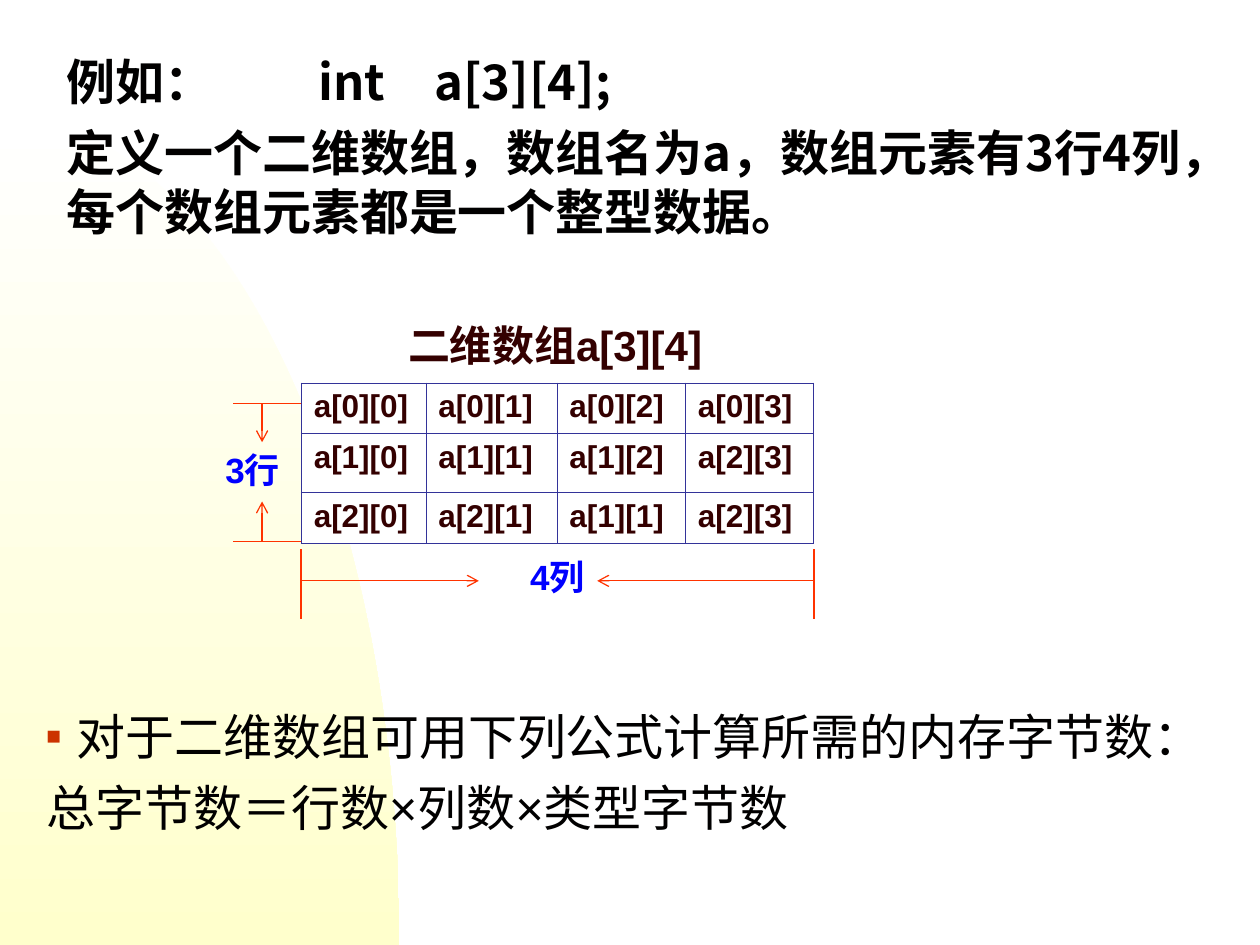
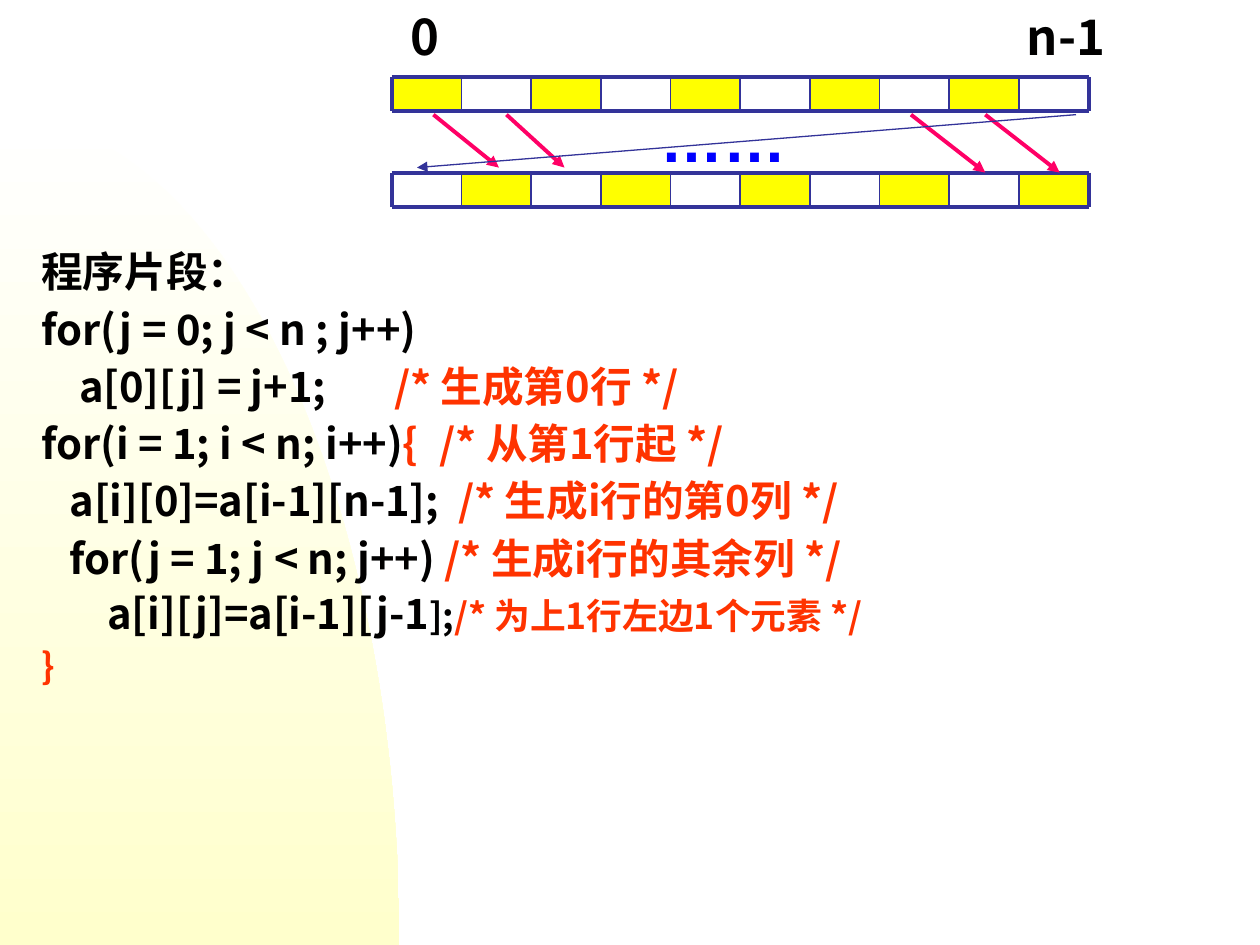
import pptx
import pptx.dml.color
import pptx.enum.shapes
import pptx.oxml
import pptx.oxml.ns
import pptx.util

Inches = pptx.util.Inches
Pt = pptx.util.Pt
RGBColor = pptx.dml.color.RGBColor

WHITE = RGBColor(0xFF, 0xFF, 0xFF)
CREAM = RGBColor(0xFF, 0xFF, 0xCC)
INK = RGBColor(0x01, 0x00, 0x00)
MAROON = RGBColor(0x34, 0x00, 0x00)
NAVY = RGBColor(0x33, 0x33, 0x99)
BLUE = RGBColor(0x00, 0x00, 0xFF)
ORANGE = RGBColor(0xFF, 0x33, 0x00)
BRICK = RGBColor(0xCC, 0x33, 0x00)
PINK = RGBColor(0xFF, 0x00, 0x66)
YELLOW = RGBColor(0xFF, 0xFF, 0x00)

CJK = "Noto Sans CJK SC"
LATIN = "Arial"


def add_xml(parent, tag, **attributes):
    """Append one DrawingML element."""
    child = pptx.oxml.parse_xml(f"<a:{tag} {pptx.oxml.ns.nsdecls('a')}/>")
    for name, value in attributes.items():
        child.set(name, str(value))
    parent.append(child)
    return child


class Lecture:
    def __init__(self):
        self.deck = pptx.Presentation()
        self.deck.slide_width = Inches(10)
        self.deck.slide_height = Inches(7.5)
        self.page = None

    def new_page(self):
        self.page = self.deck.slides.add_slide(self.deck.slide_layouts[6])
        self.curved_band()

    def curved_band(self):
        """Fading band with a Bezier edge, shared by every page."""
        right, top, bottom = 3.17, 0.92, 7.5
        controls = [(0, top), (1.75, top), (right, 3.87), (right, bottom)]
        steps = 60
        edge = []
        for step in range(steps + 1):
            t = step / steps
            weights = ((1 - t) ** 3, 3 * t * (1 - t) ** 2, 3 * t * t * (1 - t), t ** 3)
            edge.append(tuple(
                Inches(sum(w * point[axis] for w, point in zip(weights, controls)))
                for axis in (0, 1)))
        outline = self.page.shapes.build_freeform(*edge[0])
        outline.add_line_segments(edge[1:] + [(0, Inches(bottom))], close=True)
        band = outline.convert_to_shape()
        band.shadow.inherit = False
        band.line.fill.background()
        band.fill.gradient()
        band.fill.gradient_angle = 270
        for stop, color in zip(band.fill.gradient_stops, (WHITE, CREAM)):
            stop.color.rgb = color

    def style(self, span, size, color, font, bold):
        span.font.size = Pt(size)
        span.font.color.rgb = color
        span.font.name = font
        span.font.bold = bold
        add_xml(span.font._element, "ea", typeface=CJK)

    def text(self, place, paragraphs, size, color=INK, font=CJK, bold=True,
             gap=7, spacing=None):
        """Each paragraph is a string or a list of (text, colour, size)."""
        box = self.page.shapes.add_textbox(*map(Inches, place))
        frame = box.text_frame
        frame.word_wrap = True
        for index, parts in enumerate(paragraphs):
            para = frame.add_paragraph() if index else frame.paragraphs[0]
            if index:
                para.space_before = Pt(gap)
            if spacing:
                para.line_spacing = spacing
            if isinstance(parts, str):
                parts = [(parts, color, size)]
            for words, span_color, span_size in parts:
                span = para.add_run()
                span.text = words
                self.style(span, span_size, span_color, font, bold)
        return frame.paragraphs

    def tab_stop(self, para, position):
        stops = add_xml(para._p.get_or_add_pPr(), "tabLst")
        add_xml(stops, "tab", pos=Inches(position), algn="l")

    def square_bullet(self, para, indent):
        props = para._p.get_or_add_pPr()
        props.set("marL", str(Inches(indent)))
        props.set("indent", str(-Inches(indent)))
        add_xml(add_xml(props, "buClr"), "srgbClr", val=BRICK)
        add_xml(props, "buSzPct", val=50000)
        add_xml(props, "buFont", typeface=LATIN)
        add_xml(props, "buChar", char="■")

    def line(self, start, end, color, width, head=None):
        connector = self.page.shapes.add_connector(
            pptx.enum.shapes.MSO_CONNECTOR.STRAIGHT,
            *map(Inches, (*start, *end)))
        connector.line.color.rgb = color
        connector.line.width = Pt(width)
        if head:
            add_xml(connector.line._get_or_add_ln(), "tailEnd", type=head)
        add_xml(connector._element.spPr, "effectLst")

    def rectangle(self, place, color):
        shape = self.page.shapes.add_shape(
            pptx.enum.shapes.MSO_SHAPE.RECTANGLE, *map(Inches, place))
        shape.shadow.inherit = False
        shape.fill.solid()
        shape.fill.fore_color.rgb = color
        shape.line.fill.background()

    def table(self, left, top, widths, heights, rows):
        table = self.page.shapes.add_table(
            len(rows), len(widths), Inches(left), Inches(top),
            Inches(sum(widths)), Inches(sum(heights))).table
        for column, width in zip(table.columns, widths):
            column.width = Inches(width)
        for row, height, values in zip(table.rows, heights, rows):
            row.height = Inches(height)
            for cell, value in zip(row.cells, values):
                cell.text = value
                self.style(cell.text_frame.paragraphs[0].runs[0],
                           18, MAROON, LATIN, True)
                self.cell_frame(cell)

    def cell_frame(self, cell):
        props = cell._tc.get_or_add_tcPr()
        for side in ("lnL", "lnR", "lnT", "lnB"):
            border = add_xml(props, side, w=Pt(0.45))
            add_xml(add_xml(border, "solidFill"), "srgbClr", val=NAVY)
        cell.fill.solid()
        cell.fill.fore_color.rgb = WHITE

    def array_strip(self, left, top, width, height, count, first_yellow):
        """Row of array cells, every second one yellow."""
        step = width / count
        right, bottom = left + width, top + height
        for index in range(count):
            color = YELLOW if index % 2 == first_yellow else WHITE
            self.rectangle((left + index * step, top, step, height), color)
        for y in (top, bottom):
            self.line((left, y), (right, y), NAVY, 2.25)
        for index in range(count + 1):
            x = left + index * step
            self.line((x, top), (x, bottom), NAVY,
                      2.25 if index in (0, count) else 1)


def array_page(lecture):
    lecture.new_page()

    # Definition
    definition = lecture.text(
        (0.43, 0.36, 9.29, 1.6),
        ["例如：\tint\u3000a[3][4];",
         "定义一个二维数组，数组名为a，数组元素有3行4列，每个数组元素都是一个整型数据。"], 28)
    lecture.tab_stop(definition[0], 2)

    # Memory formula
    formula = lecture.text(
        (0.27, 5.56, 9.49, 1.13),
        ["对于二维数组可用下列公式计算所需的内存字节数：",
         "总字节数＝行数×列数×类型字节数"], 28, font=LATIN, bold=False)
    lecture.square_bullet(formula[0], 0.24)

    # Array elements
    lecture.table(2.39, 3.04, (0.99, 1.04, 1.02, 1.02), (0.4, 0.47, 0.4), [
        ("a[0][0]", "a[0][1]", "a[0][2]", "a[0][3]"),
        ("a[1][0]", "a[1][1]", "a[1][2]", "a[2][3]"),
        ("a[2][0]", "a[2][1]", "a[1][1]", "a[2][3]")])
    lecture.text((3.14, 2.49, 3, 0.5), ["二维数组a[3][4]"], 24, MAROON, LATIN)

    # Row and column dimensions
    left, right, top, bottom = 2.39, 6.46, 3.2, 4.3
    for y, tip in ((top, 3.51), (bottom, 3.98)):
        lecture.line((1.85, y), (left, y), ORANGE, 0.75)
        lecture.line((2.08, y), (2.08, tip), ORANGE, 0.75, "arrow")
    for x, tip in ((left, 3.8), (right, 4.74)):
        lecture.line((x, 4.36), (x, 4.91), ORANGE, 0.75)
        lecture.line((x, 4.61), (tip, 4.61), ORANGE, 0.75, "arrow")
    for label, x, y in (("3行", 1.69, 3.51), ("4列", 4.11, 4.36)):
        lecture.text((x, y, 0.8, 0.44), [label], 20, BLUE, LATIN)


def shift_page(lecture):
    lecture.new_page()

    # Program; comments stand at a tab stop, given in inches
    main, small = 23.8, 20.4
    program = [
        ("程序片段：", "", None),
        ("for(j = 0; j < n ; j++)", "", None),
        ("    a[0][j] = j+1;", "\t/* 生成第0行 */", 2.8),
        ("for(i = 1; i < n; i++)", "{\t/* 从第1行起 */", 3.16),
        ("   a[i][0]=a[i-1][n-1];", "\t/* 生成i行的第0列 */", 3.31),
        ("   for(j = 1; j < n; j++) ", "/* 生成i行的其余列 */", None)]
    lines = [[(code, INK, main)] + ([(note, ORANGE, main)] if note else [])
             for code, note, _ in program]
    lines.append([("       a[i][j]=a[i-1][j-1", INK, main), ("];", INK, small),
                  ("/* 为上1行左边1个元素 */", ORANGE, small)])
    lines.append([("}", ORANGE, small)])
    paragraphs = lecture.text((0.23, 1.95, 9.53, 4.8), lines, main, spacing=0.9)
    for para, (_, _, stop) in zip(paragraphs, program):
        if stop:
            lecture.tab_stop(para, stop)
    for para in paragraphs[-2:]:
        para.space_before = Pt(6)

    # Two array rows
    for top, first_yellow in ((0.61, 0), (1.37, 1)):
        lecture.array_strip(3.11, top, 5.53, 0.27, 10, first_yellow)
    lecture.text((3.16, 0, 0.59, 0.57), ["0"], 28)
    lecture.text((8.05, 0, 0.91, 0.57), ["n-1"], 28)

    # Element moves
    for start, end, tip in ((3.44, 3.96, 1.33), (4.02, 4.48, 1.33),
                            (7.23, 7.82, 1.37), (7.82, 8.41, 1.37)):
        lecture.line((start, 0.91), (end, tip), PINK, 2.25, "triangle")
    lecture.text((5.14, 0.74, 1.57, 0.7), ["……"], 36, BLUE, LATIN)
    lecture.line((8.54, 0.91), (3.31, 1.33), NAVY, 0.75, "triangle")


def main():
    lecture = Lecture()
    array_page(lecture)
    shift_page(lecture)
    lecture.deck.save("out.pptx")


if __name__ == "__main__":
    main()
